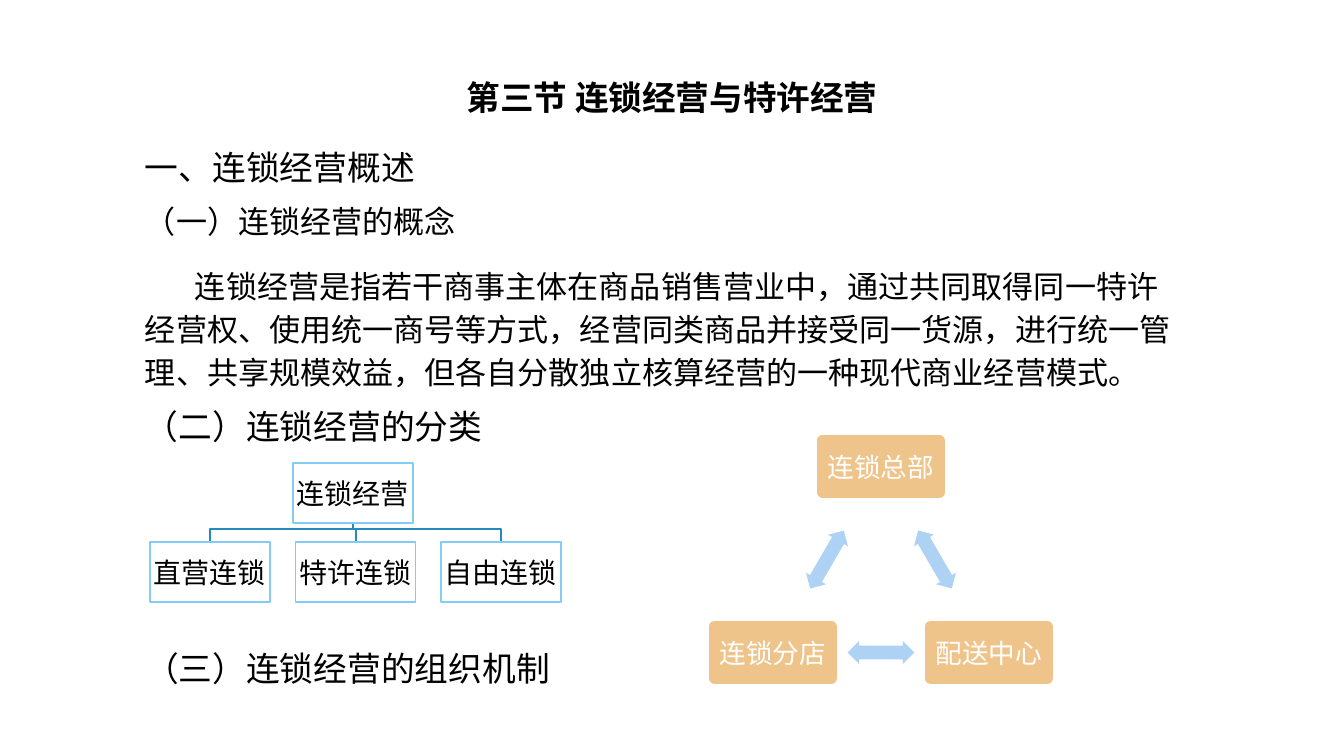
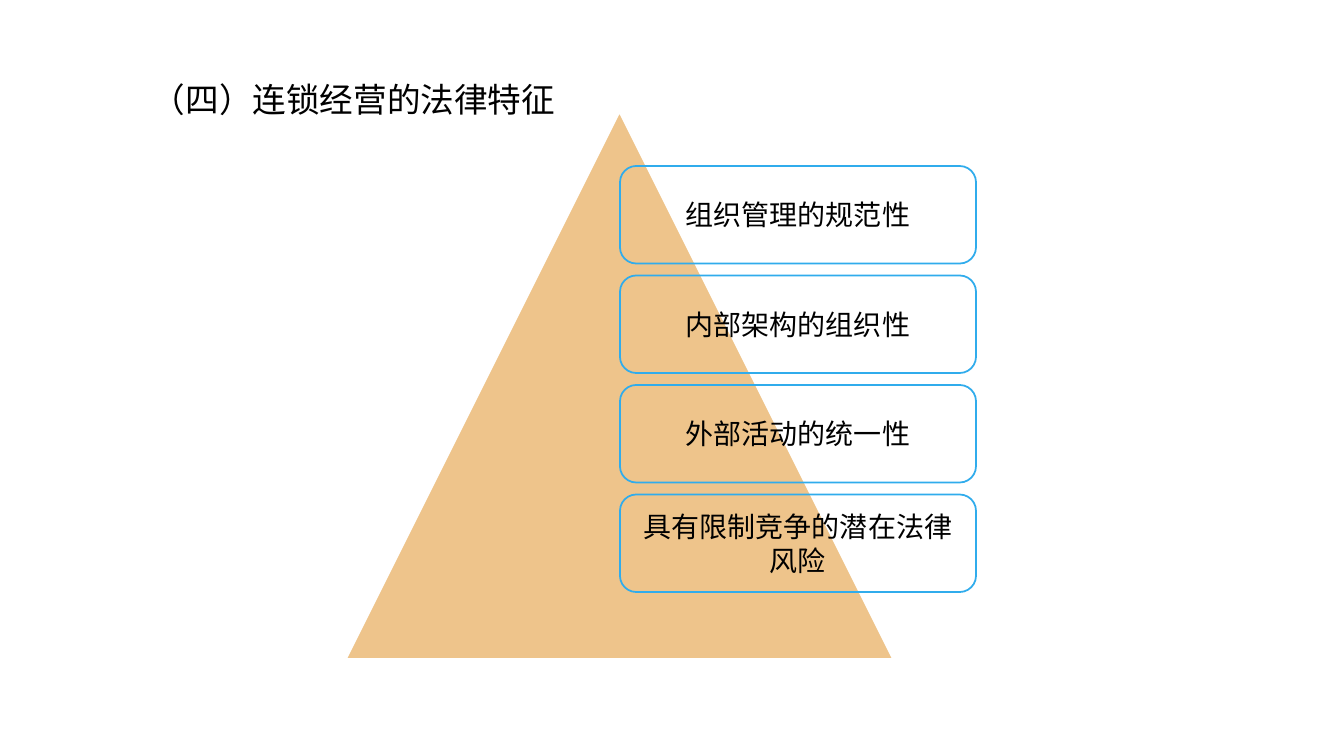
from math import atan2, degrees

from lxml import etree
from pptx import Presentation, util as u
from pptx.dml.color import RGBColor
from pptx.enum import shapes, text
from pptx.oxml import ns

PX = 914400 / 100.8
BLACK = RGBColor(0x00, 0x00, 0x00)
WHITE = RGBColor(0xFF, 0xFF, 0xFF)
SAND = RGBColor(0xEE, 0xC4, 0x8B)
PALE_BLUE = RGBColor(0xAE, 0xD2, 0xF4)
SKY = RGBColor(0x83, 0xCD, 0xF4)
BRIGHT_BLUE = RGBColor(0x30, 0xAC, 0xEC)
DEEP_BLUE = RGBColor(0x26, 0x8A, 0xBD)
BODY_FONT = "Noto Sans CJK SC"
LABEL_FONT = "Calibri"
LINE_WEIGHT = u.Pt(1.25)
BODY_LEADING = u.Pt(30.7)


def px(length):
    """Turn a length in px into EMU."""
    return u.Emu(round(length * PX))


def style_font(paragraph, name, size, color, bold=False):
    """Set the font of a paragraph for Latin and East Asian text alike."""
    font = paragraph.font
    font.name, font.size, font.bold = name, u.Pt(size), bold
    font.color.rgb = color
    properties = paragraph._p.pPr.find(ns.qn("a:defRPr"))
    etree.SubElement(properties, ns.qn("a:ea")).set("typeface", name)


def set_frame(shape, inset_x, inset_y, anchor):
    """Set wrapping, insets and anchor of a shape's text and return its frame."""
    frame = shape.text_frame
    frame.word_wrap = True
    frame.margin_left = frame.margin_right = px(inset_x)
    frame.margin_top = frame.margin_bottom = px(inset_y)
    frame.vertical_anchor = anchor
    return frame


def add_title(slide, box, wording):
    """Write a centred bold title in the box."""
    shape = slide.shapes.add_textbox(*map(px, box))
    paragraph = set_frame(shape, 10, 5, text.MSO_ANCHOR.MIDDLE).paragraphs[0]
    paragraph.text = wording
    paragraph.alignment = text.PP_ALIGN.CENTER
    style_font(paragraph, BODY_FONT, 24, BLACK, bold=True)


def add_body(slide, box, items):
    """Write paragraphs of (wording, size, space before, first-line indent)."""
    shape = slide.shapes.add_textbox(*map(px, box))
    frame = set_frame(shape, 10, 0, text.MSO_ANCHOR.TOP)
    for index, (wording, size, before, indent) in enumerate(items):
        paragraph = frame.add_paragraph() if index else frame.paragraphs[0]
        paragraph.text = wording
        paragraph.line_spacing = BODY_LEADING
        paragraph.space_before = u.Pt(before)
        properties = paragraph._p.get_or_add_pPr()
        properties.set("marL", "0")
        properties.set("indent", str(px(indent)))
        style_font(paragraph, BODY_FONT, size, BLACK)


def add_figure(slide, kind, box, fill=None, line=None):
    """Draw a preset shape with an optional fill and outline."""
    shape = slide.shapes.add_shape(kind, *map(px, box))
    shape.shadow.inherit = False
    if fill is None:
        shape.fill.background()
    else:
        shape.fill.solid()
        shape.fill.fore_color.rgb = fill
    if line is None:
        shape.line.fill.background()
    else:
        shape.line.color.rgb = line
        shape.line.width = LINE_WEIGHT
    return shape


def add_label(shape, wording, size, color, inset):
    """Write a centred label inside a shape."""
    frame = set_frame(shape, inset, inset, text.MSO_ANCHOR.MIDDLE)
    paragraph = frame.paragraphs[0]
    paragraph.text = wording
    paragraph.alignment = text.PP_ALIGN.CENTER
    style_font(paragraph, LABEL_FONT, size, color)


def add_hierarchy(slide, box, root, branches):
    """Draw a root box above its branches, joined by a bus line."""
    left, top, width, height = box
    node_width, node_height, root_shift, drop = 120, 60, 143, 6
    step = (width - node_width) / (len(branches) - 1)
    branch_top = top + height - node_height
    root_x, root_bottom = left + root_shift + node_width / 2, top + node_height
    bus = root_bottom + drop
    nodes = [(root, left + root_shift, top)]
    nodes += [(name, left + index * step, branch_top) for index, name in enumerate(branches)]
    for _, node_left, _ in nodes[1:]:
        branch_x = node_left + node_width / 2
        builder = slide.shapes.build_freeform(root_x, root_bottom, scale=PX)
        builder.add_line_segments(
            [(root_x, bus), (branch_x, bus), (branch_x, branch_top)], close=False)
        link = builder.convert_to_shape()
        link.shadow.inherit = False
        link.fill.background()
        link.line.color.rgb = DEEP_BLUE
        link.line.width = LINE_WEIGHT
    for name, node_left, node_top in nodes:
        node = add_figure(slide, shapes.MSO_SHAPE.RECTANGLE,
                          (node_left, node_top, node_width, node_height), line=SKY)
        add_label(node, name, 20, BLACK, 1)


def add_cycle(slide, box, names):
    """Draw three nodes in a triangle with a double arrow between each pair."""
    left, top, width, height = box
    node_width, node_height, arrow_width, arrow_height = 130, 65, 67, 23
    right, bottom = left + width - node_width / 2, top + height - node_height / 2
    centres = [(left + width / 2, top + node_height / 2),
               (right, bottom), (left + node_width / 2, bottom)]
    for name, (x, y) in zip(names, centres):
        node = add_figure(slide, shapes.MSO_SHAPE.ROUNDED_RECTANGLE,
                          (x - node_width / 2, y - node_height / 2, node_width, node_height),
                          SAND, WHITE)
        node.adjustments[0] = 0.1
        add_label(node, name, 19, WHITE, 8)
    for (x1, y1), (x2, y2) in zip(centres, centres[1:] + centres[:1]):
        arrow = add_figure(slide, shapes.MSO_SHAPE.LEFT_RIGHT_ARROW,
                           ((x1 + x2 - arrow_width) / 2, (y1 + y2 - arrow_height) / 2,
                            arrow_width, arrow_height), PALE_BLUE)
        arrow.adjustments[0], arrow.adjustments[1] = 0.6, 0.5
        arrow.rotation = degrees(atan2(y2 - y1, x2 - x1)) % 360


def add_feature_list(slide, box, features):
    """Stack outlined rounded boxes evenly down the box."""
    left, top, width, height = box
    gap = 12
    row_height = (height - gap * (len(features) - 1)) / len(features)
    for index, feature in enumerate(features):
        row = add_figure(slide, shapes.MSO_SHAPE.ROUNDED_RECTANGLE,
                         (left, top + index * (row_height + gap), width, row_height),
                         line=BRIGHT_BLUE)
        add_label(row, feature, 20, BLACK, 8)


def build_overview(slide):
    """Build the slide on the concept, classes and organisation of chains."""
    add_title(slide, (0, 0, 1344, 194), "第三节 连锁经营与特许经营")
    add_body(slide, (135, 144, 1048, 303), [
        ("一、连锁经营概述", 24.1, 0, 0),
        ("（一）连锁经营的概念", 22.2, 7, 0),
        ("连锁经营是指若干商事主体在商品销售营业中，通过共同取得同一特许经营权、"
         "使用统一商号等方式，经营同类商品并接受同一货源，进行统一管理、共享规模效益，"
         "但各自分散独立核算经营的一种现代商业经营模式。", 22.2, 16, 50),
        ("（二）连锁经营的分类", 24.1, 9, 0),
    ])
    add_body(slide, (135, 645, 500, 43), [("（三）连锁经营的组织机制", 24.1, 0, 0)])
    add_hierarchy(slide, (150, 463, 411, 139), "连锁经营",
                  ["直营连锁", "特许连锁", "自由连锁"])
    add_cycle(slide, (708, 434, 346, 251), ["连锁总部", "配送中心", "连锁分店"])


def build_features(slide):
    """Build the slide on the legal features of chains."""
    add_body(slide, (142, 76, 680, 43), [("（四）连锁经营的法律特征", 24, 0, 0)])
    add_figure(slide, shapes.MSO_SHAPE.ISOSCELES_TRIANGLE, (346, 112, 547, 547), SAND, WHITE)
    add_feature_list(slide, (620, 166, 356, 426), [
        "组织管理的规范性", "内部架构的组织性", "外部活动的统一性", "具有限制竞争的潜在法律风险"])


def main():
    """Build and save the presentation."""
    presentation = Presentation()
    presentation.slide_width, presentation.slide_height = px(1344), px(756)
    for build in (build_overview, build_features):
        build(presentation.slides.add_slide(presentation.slide_layouts[6]))
    presentation.save("out.pptx")


if __name__ == "__main__":
    main()
